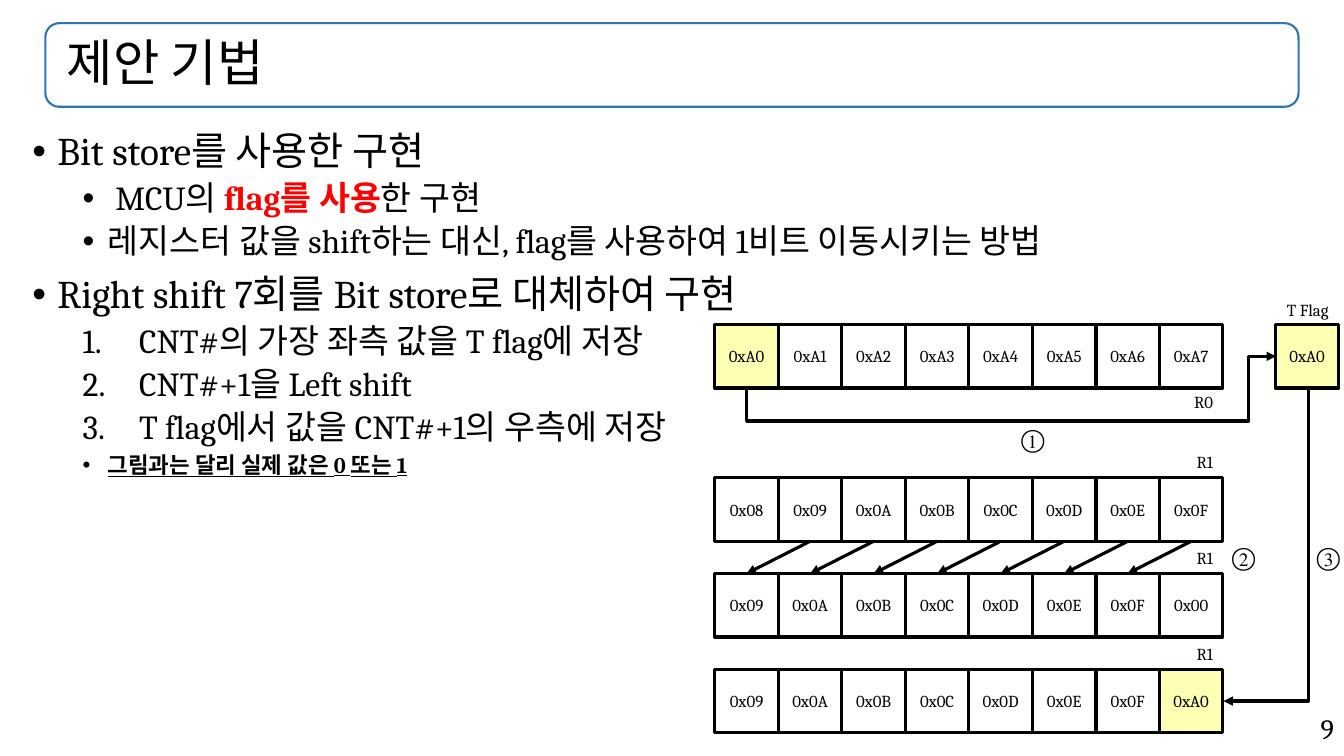
from lxml import etree
from pptx import Presentation
from pptx.dml.color import RGBColor
from pptx.enum.shapes import MSO_CONNECTOR, MSO_SHAPE
from pptx.enum.text import MSO_ANCHOR, MSO_AUTO_SIZE, PP_ALIGN
from pptx.oxml.ns import qn
from pptx.util import Inches, Pt

LEFT, CENTER, RIGHT = PP_ALIGN.LEFT, PP_ALIGN.CENTER, PP_ALIGN.RIGHT
TOP, MIDDLE = MSO_ANCHOR.TOP, MSO_ANCHOR.MIDDLE
NO_FIT = MSO_AUTO_SIZE.NONE
RECT, ROUND = MSO_SHAPE.RECTANGLE, MSO_SHAPE.ROUNDED_RECTANGLE
STRAIGHT, ELBOW = MSO_CONNECTOR.STRAIGHT, MSO_CONNECTOR.ELBOW
FONT = "Cambria"
BLACK, RED, BLUE, YELLOW = "000000", "FF0000", "2E75B6", "FFFFB3"
CELL, GRID = 0.63, 7.09
FLAG = "0xA0"

ROWS = [
    (3.22, 3.84, "R0", "0xA0 0xA1 0xA2 0xA3 0xA4 0xA5 0xA6 0xA7"),
    (4.74, 4.44, "R1", "0x08 0x09 0x0A 0x0B 0x0C 0x0D 0x0E 0x0F"),
    (5.69, 5.39, "R1", "0x09 0x0A 0x0B 0x0C 0x0D 0x0E 0x0F 0x00"),
    (6.64, 6.34, "R1", "0x09 0x0A 0x0B 0x0C 0x0D 0x0E 0x0F 0xA0"),
]
STEPS = [("①", 9.93, 4.03), ("②", 12.02, 5.21), ("③", 12.86, 5.21)]


def color(code):
    return RGBColor.from_string(code)


def write(para, text, size=12, tint=BLACK, bold=False, under=False):
    run = para.add_run()
    run.text = text
    font = run.font
    font.name, font.size = FONT, Pt(size)
    font.bold, font.underline = bold, under
    font.color.rgb = color(tint)


def place(shape, *box):
    shape.left, shape.top, shape.width, shape.height = map(Inches, box)


def frame(shape, anchor=MIDDLE):
    body = shape.text_frame
    body.word_wrap = True
    body.auto_size = NO_FIT
    body.vertical_anchor = anchor
    return body


def label(slide, text, box, align=CENTER, anchor=MIDDLE, **style):
    shape = slide.shapes.add_textbox(*map(Inches, box))
    para = frame(shape, anchor).paragraphs[0]
    para.alignment = align
    write(para, text, **style)


def block(slide, kind, box, edge, width, fill=None):
    shape = slide.shapes.add_shape(kind, *map(Inches, box))
    shape.shadow.inherit = False
    if fill:
        shape.fill.solid()
        shape.fill.fore_color.rgb = color(fill)
    else:
        shape.fill.background()
    shape.line.color.rgb = color(edge)
    shape.line.width = Pt(width)
    return shape


def cell(slide, text, left, top):
    fill = YELLOW if text == FLAG else None
    shape = block(slide, RECT, (left, top, CELL, CELL), BLACK, 2.25, fill)
    para = frame(shape).paragraphs[0]
    para.alignment = CENTER
    write(para, text)


def arrow(slide, start, end, kind=STRAIGHT):
    link = slide.shapes.add_connector(kind, *map(Inches, start + end))
    link.line.color.rgb = color(BLACK)
    link.line.width = Pt(2.25)
    etree.SubElement(link.line._get_or_add_ln(), qn("a:tailEnd"), type="triangle")
    etree.SubElement(link.element.spPr, qn("a:effectLst"))
    return link


def bend(slide, start, end, preset, *adjust):
    props = arrow(slide, start, end, ELBOW).element.spPr
    props.find(qn("a:xfrm")).set("rot", str(90 * 60000))
    shape = props.find(qn("a:prstGeom"))
    shape.set("prst", preset)
    guides = shape.find(qn("a:avLst"))
    if guides is None:
        guides = etree.SubElement(shape, qn("a:avLst"))
    for num, value in enumerate(adjust, 1):
        etree.SubElement(guides, qn("a:gd"), name=f"adj{num}", fmla=f"val {value}")


def item(body, *runs, level=1, size=24, number=False, **style):
    first = not body.paragraphs[0].runs
    para = body.paragraphs[0] if first else body.add_paragraph()
    para.level = level
    para.line_spacing = 0.9
    para.space_before = Pt(0 if first else 5 if level else 10)
    margin, hang = (1.06, 0.56) if number else (0.25 + level / 2, 0.25)
    props = para._p.get_or_add_pPr()
    props.set("marL", str(Inches(margin)))
    props.set("indent", str(-Inches(hang)))
    if number:
        etree.SubElement(props, qn("a:buFont"), typeface="+mj-lt")
        etree.SubElement(props, qn("a:buAutoNum"), type="arabicPeriod")
    else:
        etree.SubElement(props, qn("a:buFont"), typeface="Arial")
        etree.SubElement(props, qn("a:buChar"), char="•")
    for run in runs:
        text, extra = run if isinstance(run, tuple) else (run, {})
        write(para, text, size=size, **{**style, **extra})


def head(slide):
    box = (0.45, 0.23, 12.43, 0.83)
    block(slide, ROUND, box, BLUE, 1.5)
    title = slide.shapes.title
    place(title, *box)
    para = frame(title).paragraphs[0]
    para.alignment = LEFT
    para.line_spacing = 0.9
    write(para, " 제안 기법", size=36)


def points(slide):
    holder = slide.placeholders[1]
    place(holder, 0.22, 1.26, 12.67, 5.53)
    body = frame(holder, TOP)
    item(body, "Bit store를 사용한 구현", level=0, size=28)
    item(body, " MCU의 ", ("flag를 사용", {"tint": RED, "bold": True}), "한 구현")
    item(body, "레지스터 값을 shift하는 대신, flag를 사용하여 1비트 이동시키는 방법")
    item(body, "Right shift 7회를 Bit store로 대체하여 구현", level=0, size=28)
    for step in ("CNT#의 가장 좌측 값을 T flag에 저장", "CNT#+1을 Left shift",
                 "T flag에서 값을 CNT#+1의 우측에 저장"):
        item(body, step, number=True)
    item(body, "그림과는 달리 실제 값은 0 또는 1", size=16, bold=True, under=True)


def diagram(slide):
    for top, tag, name, values in ROWS:
        for col, value in enumerate(values.split()):
            cell(slide, value, GRID + col * CELL, top)
        label(slide, name, (10.71, tag, 1.42, 0.29), align=RIGHT)
    cell(slide, FLAG, 12.65, 3.22)
    label(slide, "T Flag", (12.55, 2.93, 0.84, 0.29))
    for col in range(7):
        mid = GRID + (col + 0.5) * CELL
        arrow(slide, (mid + CELL, 5.37), (mid, 5.69))
    bend(slide, (10.19, 6.32), (9.87, 1.07), "bentConnector4", -100800, 94800)
    bend(slide, (11, 4.98), (14.11, 5.82), "bentConnector2")
    for mark, left, top in STEPS:
        label(slide, mark, (left, top, CELL, CELL), size=18)


def main():
    deck = Presentation()
    deck.slide_width, deck.slide_height = Inches(13.33), Inches(7.5)
    slide = deck.slides.add_slide(deck.slide_layouts[1])
    head(slide)
    points(slide)
    diagram(slide)
    label(slide, "9", (9.43, 7.01, 3.9, 0.44), align=RIGHT, anchor=TOP, size=20)
    deck.save("out.pptx")


if __name__ == "__main__":
    main()
